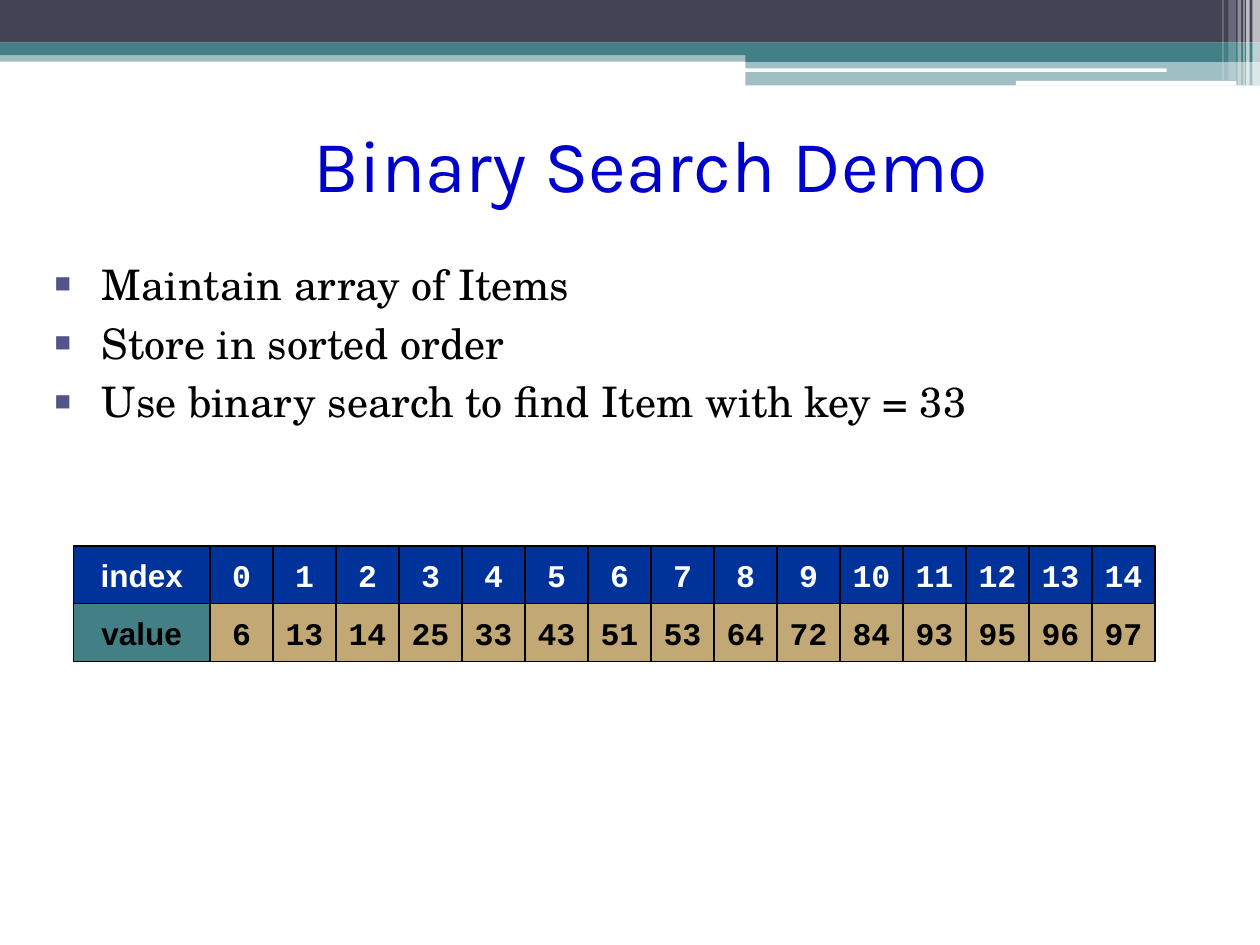
import pptx
import pptx.util
import pptx.dml.color
import pptx.enum.shapes
import pptx.enum.text
import pptx.oxml
import pptx.oxml.ns

Pt = pptx.util.Pt
RGBColor = pptx.dml.color.RGBColor
SHAPES = pptx.enum.shapes.MSO_SHAPE
ALIGN = pptx.enum.text.PP_ALIGN
ANCHOR = pptx.enum.text.MSO_ANCHOR

SLATE = RGBColor(0x42, 0x44, 0x56)
TEAL = RGBColor(0x43, 0x80, 0x86)
WHITE = RGBColor(0xFF, 0xFF, 0xFF)
BLACK = RGBColor(0, 0, 0)
NAVY = RGBColor(0, 0x33, 0x99)
SAND = RGBColor(0xC2, 0xA8, 0x74)
TITLE_BLUE = RGBColor(0, 0, 0xCC)
BULLET_PURPLE = RGBColor(0x53, 0x54, 0x8A)

VALUES = [6, 13, 14, 25, 33, 43, 51, 53, 64, 72, 84, 93, 95, 96, 97]
POINTS = [
    "Maintain array of Items",
    "Store in sorted order",
    "Use binary search to find Item with key = 33",
]


def sub_element(parent, tag, **attributes):
    child = pptx.oxml.parse_xml(f"<{tag} {pptx.oxml.ns.nsdecls('a')}/>")
    for name, value in attributes.items():
        child.set(name, value)
    parent.append(child)
    return child


def add_block(page, box, fill, opacity=100, kind=SHAPES.RECTANGLE):
    """Add a plain filled shape without outline or shadow."""
    block = page.shapes.add_shape(kind, *map(Pt, box))
    block.shadow.inherit = False
    block.fill.solid()
    block.fill.fore_color.rgb = fill
    block.line.fill.background()
    if opacity < 100:
        color = block.fill._xPr.find(".//" + pptx.oxml.ns.qn("a:srgbClr"))
        sub_element(color, "a:alpha", val=str(opacity * 1000))
    return block


def add_header(page, box):
    left, top, width, height = box
    right = left + width
    step_left, step_width = left + 426, width - 426

    # Full-width bands and the step on the right
    add_block(page, (left, top + 28.8, width, 6.5), TEAL, 50)
    add_block(page, (left, top, width, 24.4), SLATE)
    add_block(page, (left, top + 24.4, width, 7.2), TEAL)
    add_block(page, (step_left, top + 28.2, step_width, 7.2), TEAL)
    add_block(page, (step_left, top + 34.8, step_width, 14), TEAL, 50)

    # White slots
    for x, y, length, thickness in ((425.5, 39.1, 241.2, 2), (580.5, 46.2, 126, 2.7)):
        add_block(page, (left + x, top + y, length, thickness), WHITE,
                  kind=SHAPES.ROUNDED_RECTANGLE)

    # Translucent upright stripes: offset from the right, width, height, opacity
    for offset, stripe, tall, opacity in (
        (4.4, 4.4, height, 65), (7.9, 2, height, 65), (9.5, 0.72, height, 60),
        (12.8, 2, height, 40), (18, 4.3, 46, 20), (21.5, 0.72, 46, 30),
    ):
        add_block(page, (right - offset, top, stripe, tall), WHITE, opacity)


def place(holder, box):
    holder.left, holder.top, holder.width, holder.height = map(Pt, box)


def add_title(page, box):
    title = page.shapes.title
    place(title, box)
    frame = title.text_frame
    frame.text = "Binary Search Demo"
    frame.vertical_anchor = ANCHOR.MIDDLE
    para = frame.paragraphs[0]
    para.alignment = ALIGN.CENTER
    para.font.size = Pt(42)
    para.font.name = "Karla"
    para.font.color.rgb = TITLE_BLUE


def add_bullets(page, box):
    body = page.placeholders[1]
    place(body, box)
    frame = body.text_frame
    frame.text = "\n".join(POINTS)
    for number, para in enumerate(frame.paragraphs):
        para.space_before = Pt(4.8 if number else 0)
        properties = para._p.get_or_add_pPr()
        properties.set("marL", str(Pt(27)))
        properties.set("indent", str(-Pt(27)))
        color = sub_element(properties, "a:buClr")
        sub_element(color, "a:srgbClr", val=str(BULLET_PURPLE))
        sub_element(properties, "a:buSzPct", val="65000")
        sub_element(properties, "a:buFont", typeface="Arial")
        sub_element(properties, "a:buChar", char="■")
        for span in para.runs:
            span.font.size = Pt(24)
            span.font.name = "TeX Gyre Schola"
            span.font.color.rgb = BLACK


def add_cell(page, box, text, fill, color, font):
    cell = add_block(page, box, fill)
    cell.line.color.rgb = BLACK
    cell.line.width = Pt(0.75)
    frame = cell.text_frame
    frame.word_wrap = False
    frame.vertical_anchor = ANCHOR.MIDDLE
    frame.text = text
    para = frame.paragraphs[0]
    para.alignment = ALIGN.CENTER
    span = para.runs[0]
    span.font.size = Pt(18)
    span.font.bold = True
    span.font.name = font
    span.font.color.rgb = color


def add_array(page, box):
    left, top, width, height = box
    label_width = 78
    cell_width = (width - label_width) / len(VALUES)
    row_height = height / 2
    rows = (
        ("index", range(len(VALUES)), NAVY, NAVY, WHITE),
        ("value", VALUES, TEAL, SAND, BLACK),
    )
    for row, (label, numbers, label_fill, fill, color) in enumerate(rows):
        y = top + row * row_height
        add_cell(page, (left, y, label_width, row_height), label, label_fill, color, "Arial")
        for column, number in enumerate(numbers):
            x = left + label_width + column * cell_width
            add_cell(page, (x, y, cell_width, row_height), str(number), fill, color,
                     "Courier New")


def main():
    deck = pptx.Presentation()
    deck.slide_width, deck.slide_height = Pt(720), Pt(540)
    page = deck.slides.add_slide(deck.slide_layouts[1])
    add_header(page, (0, 0, 720, 48.8))
    add_title(page, (45, 66, 654, 54))
    add_bullets(page, (24, 144, 672, 126))
    add_array(page, (42, 312, 618, 66))
    deck.save("out.pptx")


if __name__ == "__main__":
    main()
